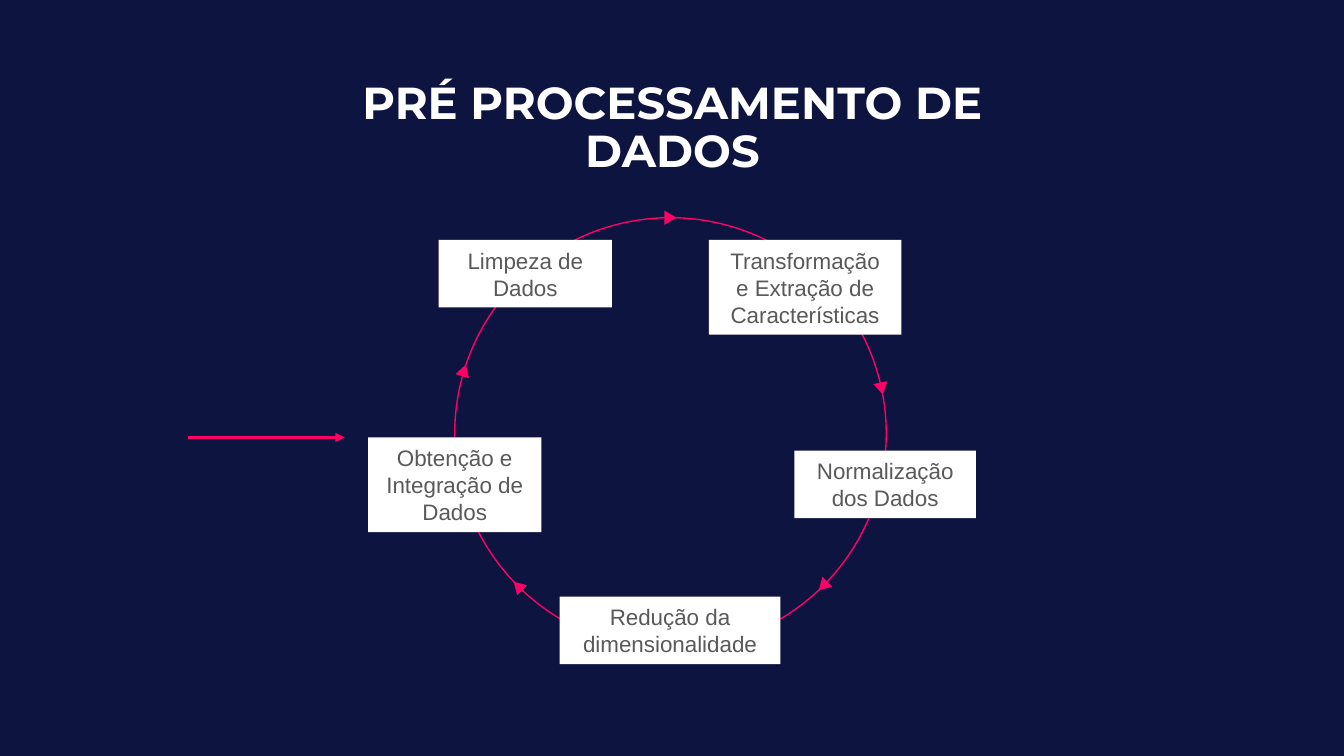
"""Build a slide with the cycle of data preprocessing steps."""
from math import cos, radians, sin

from lxml import etree
from pptx import Presentation
from pptx.dml.color import RGBColor
from pptx.enum.shapes import MSO_CONNECTOR, MSO_SHAPE
from pptx.enum.text import MSO_ANCHOR, PP_ALIGN
from pptx.oxml.ns import qn
from pptx.util import Inches, Pt

OVAL = MSO_SHAPE.OVAL
RECT = MSO_SHAPE.RECTANGLE
TIP = MSO_SHAPE.ISOSCELES_TRIANGLE
LINE = MSO_CONNECTOR.STRAIGHT
TOP, MIDDLE = MSO_ANCHOR.TOP, MSO_ANCHOR.MIDDLE
CENTER = PP_ALIGN.CENTER

NAVY, PINK, WHITE, GRAY = "0D1440", "FF0066", "FFFFFF", "595959"


def paint(fill, color):
    fill.solid()
    fill.fore_color.rgb = RGBColor.from_string(color)


def write(shape, text, size, face, color, bold=False, space=1.0,
          anchor=MIDDLE, pad=(0.1, 0.05)):
    frame = shape.text_frame
    frame.word_wrap = True
    frame.vertical_anchor = anchor
    frame.margin_left = frame.margin_right = Inches(pad[0])
    frame.margin_top = frame.margin_bottom = Inches(pad[1])
    frame.text = text
    para = frame.paragraphs[0]
    para.alignment = CENTER
    para.line_spacing = space
    for run in para.runs:
        run.font.size = Pt(size)
        run.font.name = face
        run.font.bold = bold
        paint(run.font.fill, color)


deck = Presentation()
deck.slide_width, deck.slide_height = Inches(13.33), Inches(7.5)
slide = deck.slides.add_slide(deck.slide_layouts[5])
paint(slide.background.fill, NAVY)
shapes = slide.shapes

title = shapes.title
title.left, title.top = Inches(2.81), Inches(0.75)
title.width, title.height = Inches(7.72), Inches(0.55)
write(title, "PRÉ PROCESSAMENTO DE DADOS", size=32, face="Montserrat",
      color=WHITE, bold=True, space=0.9, anchor=TOP)

mid_x, mid_y, radius = 6.65, 4.3, 2.14
ring = shapes.add_shape(OVAL, Inches(mid_x - radius), Inches(mid_y - radius),
                        Inches(2 * radius), Inches(2 * radius))
ring.shadow.inherit = False
ring.fill.background()
paint(ring.line.fill, PINK)
ring.line.width = Pt(1)

tip_w, tip_h = 0.14, 0.12
for angle in (0, 78, 135, 225, 287):
    x = mid_x + radius * sin(radians(angle))
    y = mid_y - radius * cos(radians(angle))
    tip = shapes.add_shape(TIP, Inches(x - tip_w / 2), Inches(y - tip_h / 2),
                           Inches(tip_w), Inches(tip_h))
    tip.rotation = (angle + 90) % 360
    tip.shadow.inherit = False
    paint(tip.fill, PINK)
    tip.line.fill.background()

steps = [
    ("Limpeza de Dados", 4.35, 2.38, 1.72, 0.67),
    ("Transformação\ve Extração de Características", 7.03, 2.38, 1.91, 0.94),
    ("Obtenção e Integração de Dados", 3.65, 4.34, 1.72, 0.94),
    ("Redução da dimensionalidade", 5.55, 5.92, 2.19, 0.67),
    ("Normalização dos Dados", 7.88, 4.47, 1.8, 0.67),
]
for text, *place in steps:
    step = shapes.add_shape(RECT, *map(Inches, place))
    step.shadow.inherit = False
    paint(step.fill, WHITE)
    step.line.fill.background()
    write(step, text, size=16, face="Arial", color=GRAY, pad=(0.13, 0.07))

entry = shapes.add_connector(LINE, Inches(1.86), Inches(4.34),
                             Inches(3.42), Inches(4.34))
paint(entry.line.fill, PINK)
entry.line.width = Pt(2.25)
etree.SubElement(entry.line._get_or_add_ln(), qn("a:tailEnd"), type="triangle")
etree.SubElement(entry._element.spPr, qn("a:effectLst"))

deck.save("out.pptx")
